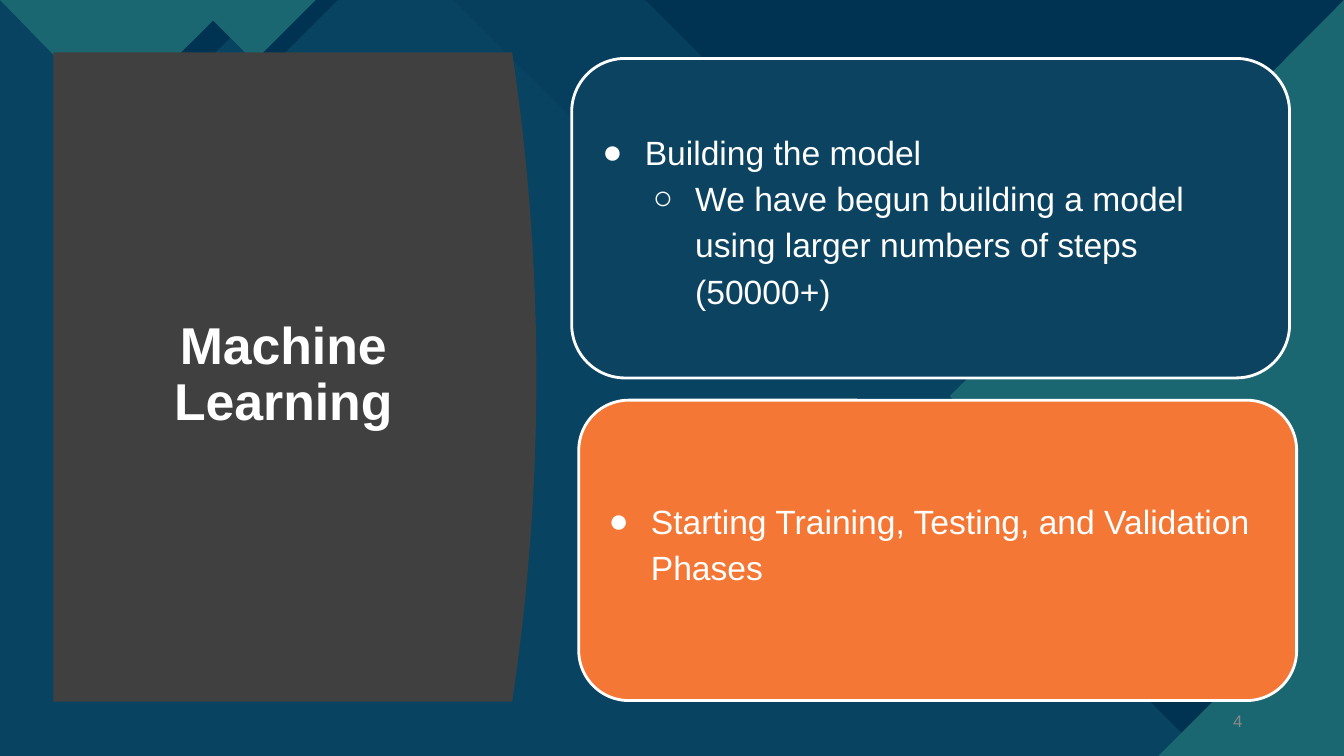
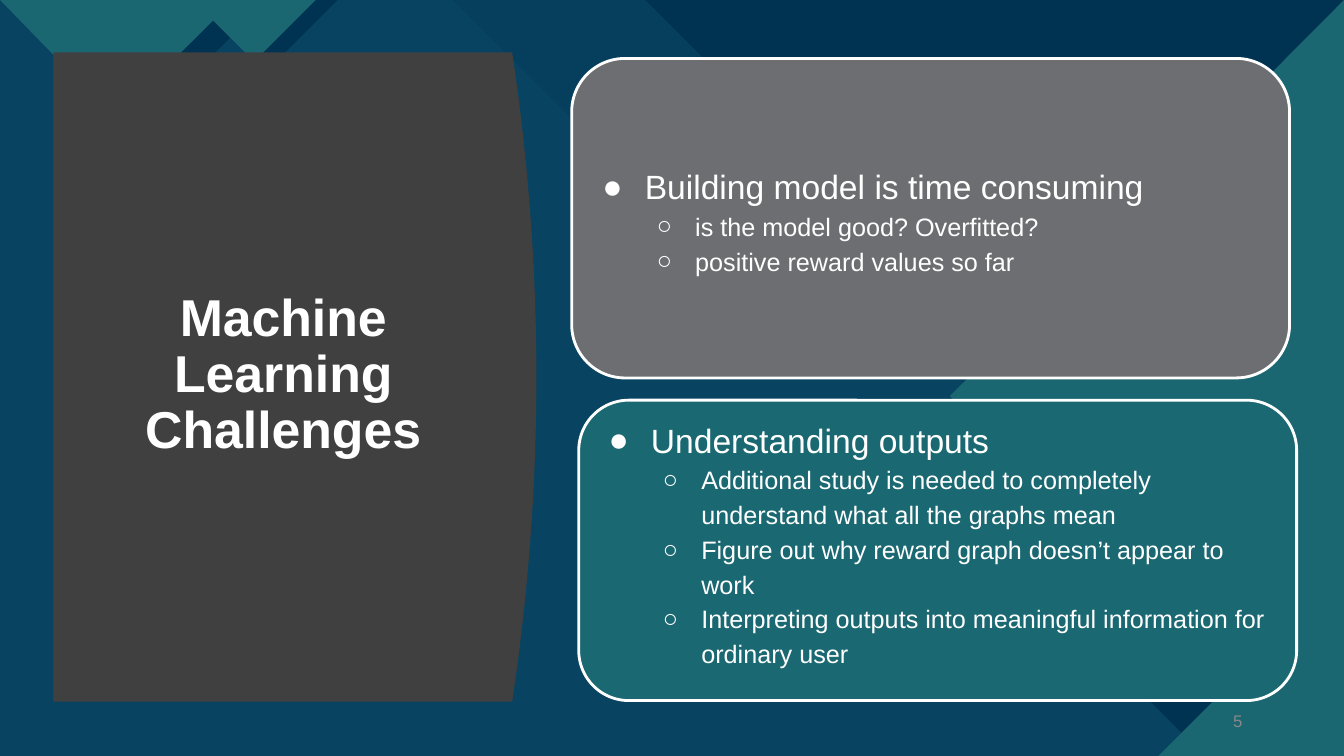
from lxml import etree
from pptx import Presentation
from pptx import util as u
from pptx.dml.color import RGBColor
from pptx.enum import shapes, text
from pptx.oxml.ns import qn

COLOURS = {
    "navy": "0C4360", "deep": "003252", "teal": "1B6771", "aqua": "47C3D3",
    "charcoal": "404040", "white": "FFFFFF", "number": "888888",
    "orange": "F47735", "grey": "6D6E71", "card_teal": "1A6871",
}
FONT = "Arial"


def add_text(frame, words, *, size, colour="white", bold=False, align="LEFT",
             spacing=1.0, level=0, indent=0, bullet=None, first=True):
    """Write one paragraph; a bullet hangs to the left by the indent."""
    para = frame.paragraphs[0] if first else frame.add_paragraph()
    para.alignment = getattr(text.PP_ALIGN, align)
    para.line_spacing = spacing
    para.level = level
    span = para.add_run()
    span.text = words
    span.font.name, span.font.size, span.font.bold = FONT, u.Pt(size), bold
    span.font.color.rgb = RGBColor.from_string(COLOURS[colour])
    if bullet:
        props = para._p.get_or_add_pPr()
        props.set("marL", str(u.Inches(0.5 * (level + 1))))
        props.set("indent", str(-u.Inches(indent)))
        tint = etree.SubElement(props, qn("a:buClr"))
        etree.SubElement(tint, qn("a:srgbClr"), val=COLOURS[colour])
        etree.SubElement(props, qn("a:buFont"), typeface=FONT)
        etree.SubElement(props, qn("a:buChar"), char=bullet)


def add_outline(page, points, colour, opacity=100):
    """Draw a closed polygon without a border, points in inches."""
    corners = [(u.Inches(x), u.Inches(y)) for x, y in points]
    builder = page.shapes.build_freeform(*corners[0], scale=1.0)
    builder.add_line_segments(corners[1:], close=True)
    shape = builder.convert_to_shape()
    shape.shadow.inherit = False
    shape.fill.solid()
    shape.fill.fore_color.rgb = RGBColor.from_string(COLOURS[colour])
    shape.line.fill.background()
    if opacity < 100:
        tint = shape.element.spPr.find(".//" + qn("a:srgbClr"))
        etree.SubElement(tint, qn("a:alpha"), val=str(opacity * 1000))


# Backdrop facets, back to front: points, colour, opacity
FACETS = [
    ([(0, 0), (8.26, 0), (11.23, 2.97), (12.35, 2.97), (13.33, 3.96),
      (13.33, 7.5), (0, 7.5)], "aqua", 72),
    ([(0, 0), (4.49, 0), (7.46, 2.97), (8.72, 2.97), (13.25, 7.5),
      (0, 7.5)], "aqua", 100),
    ([(6.4, 0), (13.33, 0), (13.33, 6.92)], "deep", 100),
    ([(0, 0), (6.95, 0), (9.92, 2.97), (11.18, 2.97), (13.33, 5.13),
      (13.33, 7.5), (0, 7.5)], "deep", 88),
    ([(13.33, 0.68), (13.33, 7.5), (11.95, 7.5), (9.23, 4.78)], "deep", 100),
    ([(13.33, 0), (13.33, 7.5), (12.99, 7.5), (9.42, 3.93)], "teal", 100),
    ([(13.33, 6.14), (13.33, 7.5), (11.97, 7.5)], "deep", 100),
    ([(13.33, 5.66), (13.33, 7.5), (11.49, 7.5)], "teal", 100),
    ([(2.66, 0), (1.47, 1.18), (0.29, 0)], "deep", 100),
    ([(0, 0), (1.14, 1.17), (2.32, 0)], "teal", 100),
    ([(3.35, 0), (2.72, 0.63), (2.09, 0)], "deep", 100),
    ([(1.91, 0), (2.52, 0.61), (3.13, 0)], "teal", 100),
]

# Title panel: its right edge bulges as a parabola
TOP, BOTTOM, STEPS = 0.52, 6.96, 40
PANEL = [(0.53, TOP)]
for step in range(STEPS + 1):
    ratio = step / STEPS
    PANEL.append((5.32 - 0.24 * (2 * ratio - 1) ** 2,
                  TOP + (BOTTOM - TOP) * ratio))
PANEL.append((0.53, BOTTOM))

# Card places: left, top, width, height, bottom inset
CARD_PLACES = [(5.67, 0.58, 7.12, 3.17, 0), (5.74, 3.97, 7.12, 2.98, 0.18)]

# Per slide: title, number, cards as (colour, [(level, size, words)])
SLIDES = [
    ("Machine Learning", "4", [
        ("navy", [
            (0, 24, "Building the model"),
            (1, 24, "We have begun building a model using larger numbers "
                    "of steps (50000+)")]),
        ("orange", [
            (0, 24, "Starting Training, Testing, and Validation Phases")]),
    ]),
    ("Machine Learning Challenges", "5", [
        ("grey", [
            (0, 24, "Building model is time consuming"),
            (1, 18, "is the model good? Overfitted?"),
            (1, 18, "positive reward values so far")]),
        ("card_teal", [
            (0, 24, "Understanding outputs"),
            (1, 18, "Additional study is needed to completely understand "
                    "what all the graphs mean"),
            (1, 18, "Figure out why reward graph doesn’t appear to work"),
            (1, 18, "Interpreting outputs into meaningful information for "
                    "ordinary user")]),
    ]),
]

deck = Presentation()
deck.slide_width, deck.slide_height = u.Inches(13.33), u.Inches(7.5)

for title, number, cards in SLIDES:
    page = deck.slides.add_slide(deck.slide_layouts[6])

    # Backdrop and title panel
    page.background.fill.solid()
    page.background.fill.fore_color.rgb = RGBColor.from_string(COLOURS["navy"])
    for points, colour, opacity in FACETS:
        add_outline(page, points, colour, opacity)
    add_outline(page, PANEL, "charcoal")

    # Title and slide number
    labels = [
        ((0.94, 1.11, 3.74, 5.24), title,
         dict(size=37, bold=True, align="CENTER", spacing=0.9)),
        ((11.73, 6.95, 0.69, 0.4), number,
         dict(size=12, colour="number", align="RIGHT")),
    ]
    for place, words, style in labels:
        box = page.shapes.add_textbox(*map(u.Inches, place))
        box.text_frame.word_wrap = True
        box.text_frame.vertical_anchor = text.MSO_ANCHOR.MIDDLE
        add_text(box.text_frame, words, **style)

    # Cards with bulleted text
    for (*place, inset), (colour, items) in zip(CARD_PLACES, cards):
        card = page.shapes.add_shape(
            shapes.MSO_SHAPE.ROUNDED_RECTANGLE, *map(u.Inches, place))
        card.shadow.inherit = False
        card.fill.solid()
        card.fill.fore_color.rgb = RGBColor.from_string(COLOURS[colour])
        card.line.color.rgb = RGBColor.from_string(COLOURS["white"])
        card.line.width = u.Pt(2)
        frame = card.text_frame
        frame.word_wrap = True
        frame.vertical_anchor = text.MSO_ANCHOR.MIDDLE
        frame.margin_left = frame.margin_right = u.Inches(0.07)
        frame.margin_top, frame.margin_bottom = 0, u.Inches(inset)
        for index, (level, size, words) in enumerate(items):
            add_text(frame, words, size=size, spacing=1.15, level=level,
                     indent=0.42 if size == 24 else 0.38,
                     bullet="●○"[level], first=index == 0)

deck.save("out.pptx")
